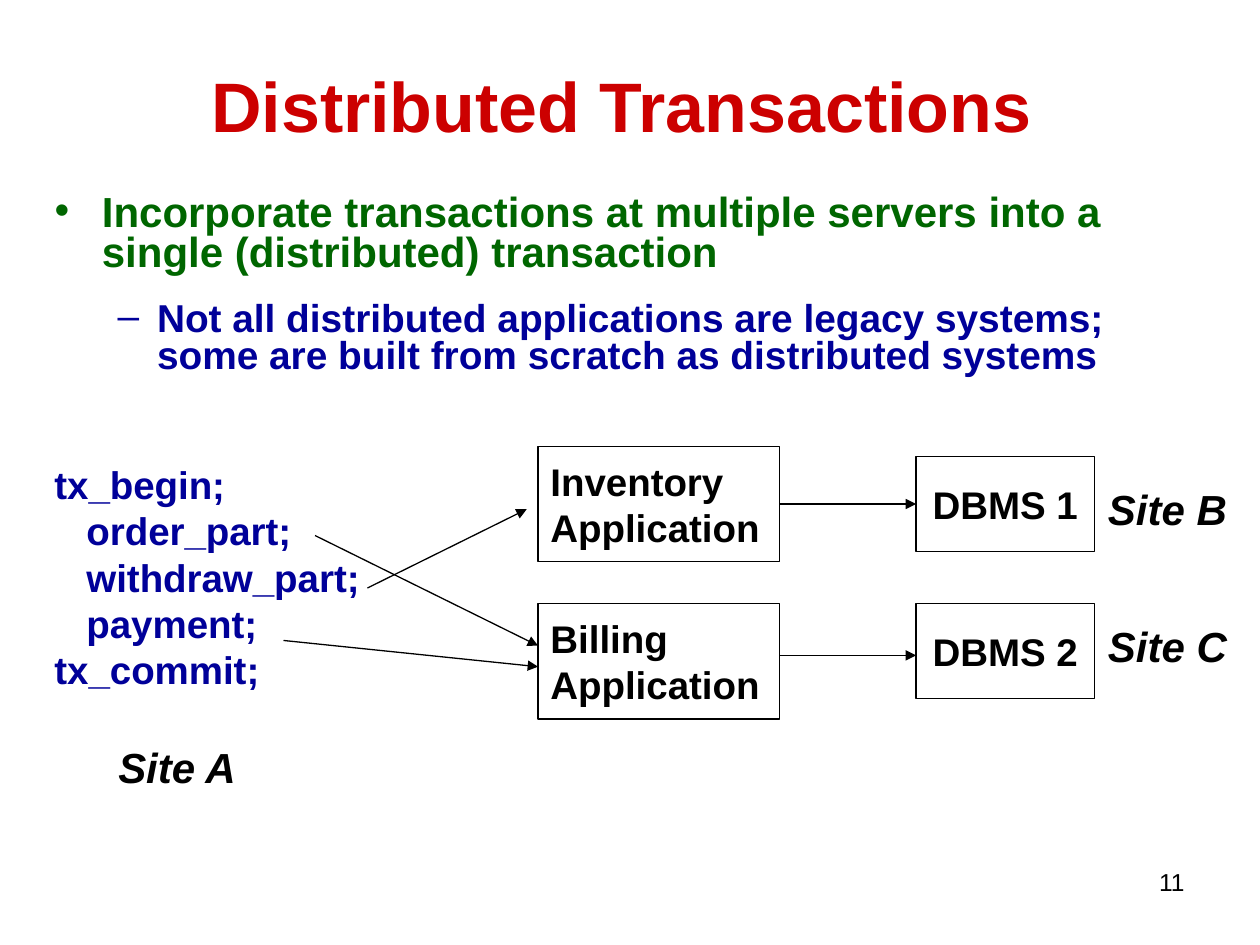
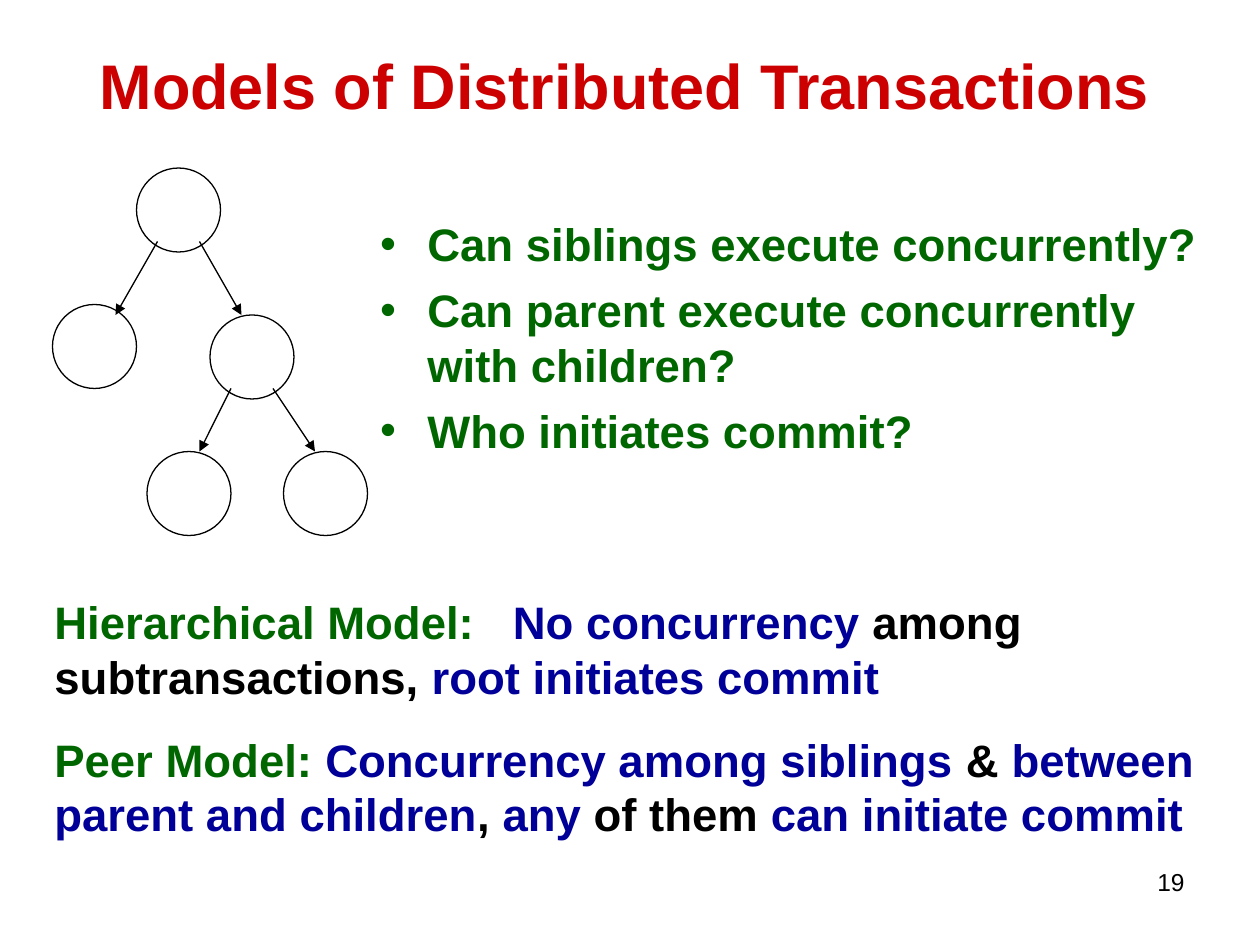
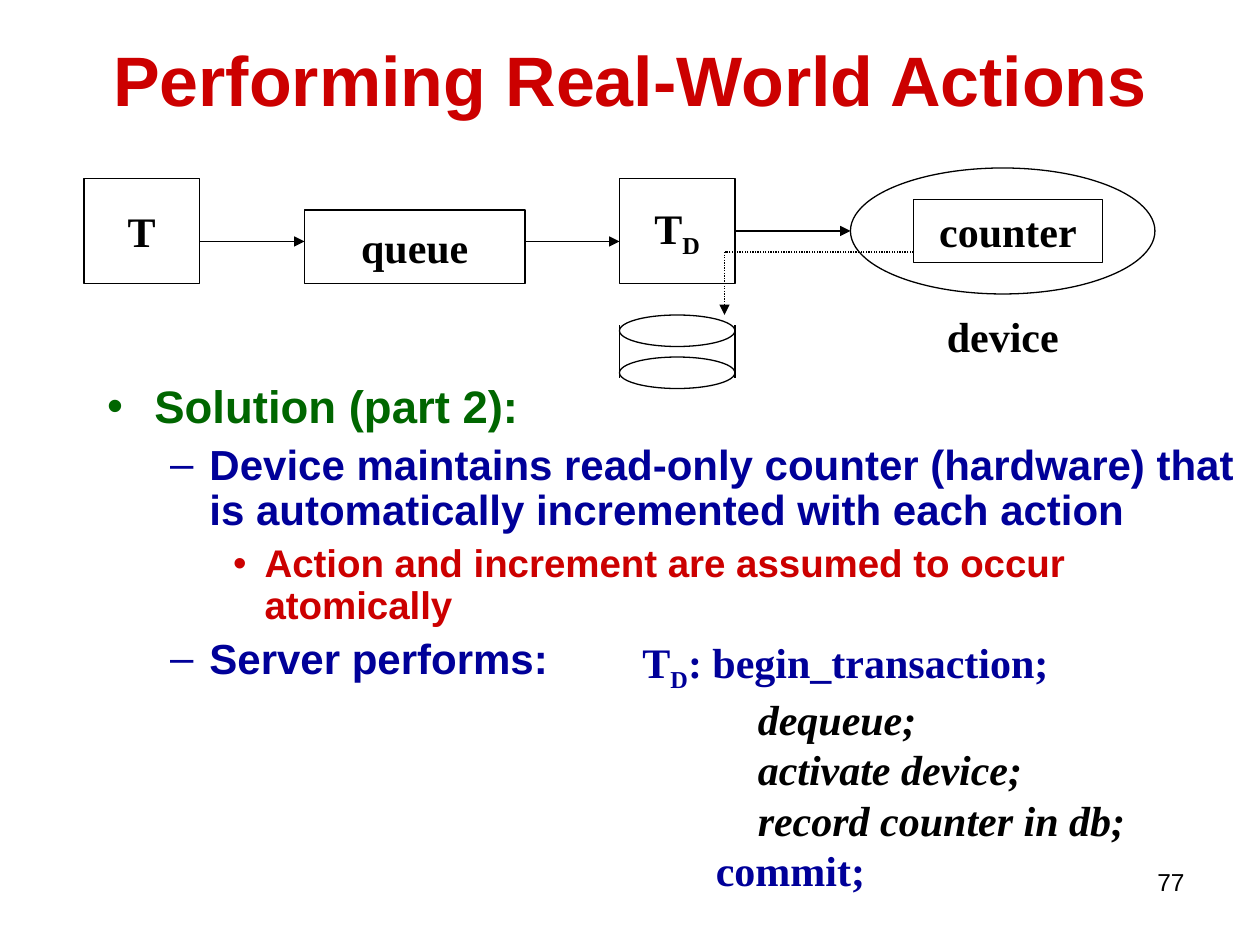
from lxml.etree import SubElement
from pptx import Presentation
from pptx.dml.color import RGBColor
from pptx.enum.dml import MSO_LINE
from pptx.enum.shapes import MSO_CONNECTOR, MSO_SHAPE
from pptx.enum.text import MSO_ANCHOR, MSO_AUTO_SIZE, PP_ALIGN
from pptx.oxml.ns import qn
from pptx.util import Pt

RED, GREEN, BLUE, BLACK, WHITE = "CC0000", "006600", "000099", "000000", "FFFFFF"
SANS, SERIF = "Arial", "Times New Roman"
LINE_WIDTH = 0.75
# Bullet levels: character, colour, left margin, hanging indent
LEVELS = [("•", GREEN, 27, 27), ("–", BLUE, 58.5, 22.5), ("•", RED, 90, 18)]


def rgb(color):
    return RGBColor.from_string(color)


# Text

def style_font(font, size, color, name=SANS, bold=True, italic=False):
    font.size, font.name = Pt(size), name
    font.bold, font.italic = bold, italic
    font.color.rgb = rgb(color)


def add_runs(paragraph, content):
    """Content is a string, or a list of (text, colour or None, is subscript)."""
    if isinstance(content, str):
        content = [(content, None, False)]
    for text, color, subscript in content:
        run = paragraph.add_run()
        run.text = text
        if color:
            run.font.color.rgb = rgb(color)
        if subscript:
            run._r.get_or_add_rPr().set("baseline", "-25000")


def place(shape, box):
    shape.left, shape.top, shape.width, shape.height = map(Pt, box)


def prepare_frame(shape, anchor=MSO_ANCHOR.TOP, wrap=True):
    frame = shape.text_frame
    frame.auto_size = MSO_AUTO_SIZE.NONE
    frame.word_wrap = wrap
    frame.vertical_anchor = anchor
    return frame


def next_paragraph(frame, index):
    return frame.add_paragraph() if index else frame.paragraphs[0]


def write_lines(frame, lines, size, color=BLACK, align=PP_ALIGN.LEFT, **style):
    """Write one paragraph for each line; a line may be a (content, style) pair."""
    for index, line in enumerate(lines):
        content, own_style = line if isinstance(line, tuple) else (line, {})
        paragraph = next_paragraph(frame, index)
        paragraph.alignment = align
        add_runs(paragraph, content)
        style_font(paragraph.font, **{"size": size, "color": color, **style, **own_style})


def add_text(slide, box, lines, size, wrap=True, **style):
    text_box = slide.shapes.add_textbox(*map(Pt, box))
    frame = prepare_frame(text_box, wrap=wrap)
    write_lines(frame, lines, size, **style)
    return frame


def add_bullet(paragraph, level):
    character, color, margin, hanging = LEVELS[level]
    paragraph.level = level
    properties = paragraph._p.get_or_add_pPr()
    properties.set("marL", str(Pt(margin)))
    properties.set("indent", str(-Pt(hanging)))
    bullet_color = SubElement(properties, qn("a:buClr"))
    SubElement(bullet_color, qn("a:srgbClr")).set("val", color)
    SubElement(properties, qn("a:buFont")).set("typeface", SANS)
    SubElement(properties, qn("a:buChar")).set("char", character)


def fill_body(slide, box, items, line_spacing=1.0):
    """Items are (level, text, size, space before)."""
    body = slide.placeholders[1]
    place(body, box)
    frame = prepare_frame(body)
    for index, (level, text, size, space) in enumerate(items):
        paragraph = next_paragraph(frame, index)
        add_bullet(paragraph, level)
        paragraph.alignment = PP_ALIGN.LEFT
        paragraph.line_spacing = line_spacing
        paragraph.space_before = Pt(space)
        add_runs(paragraph, text)
        style_font(paragraph.font, size, LEVELS[level][1])


# Shapes and lines

def add_outlined(slide, kind, box, lines=(), size=24, align=PP_ALIGN.CENTER,
                 wrap=False, **style):
    shape = slide.shapes.add_shape(kind, *map(Pt, box))
    shape.shadow.inherit = False
    shape.fill.solid()
    shape.fill.fore_color.rgb = rgb(WHITE)
    shape.line.color.rgb = rgb(BLACK)
    shape.line.width = Pt(LINE_WIDTH)
    if lines:
        frame = prepare_frame(shape, MSO_ANCHOR.MIDDLE, wrap)
        write_lines(frame, lines, size, align=align, **style)
    return shape


def add_line(slide, start, end, arrow=True, dotted=False):
    connector = slide.shapes.add_connector(
        MSO_CONNECTOR.STRAIGHT, *map(Pt, (*start, *end)))
    connector.line.color.rgb = rgb(BLACK)
    connector.line.width = Pt(LINE_WIDTH)
    if dotted:
        connector.line.dash_style = MSO_LINE.ROUND_DOT
    if arrow:
        outline = connector.line._get_or_add_ln()
        SubElement(outline, qn("a:tailEnd")).set("type", "triangle")
    SubElement(connector._element.spPr, qn("a:effectLst"))
    return connector


# Shared slide frame

def add_slide(presentation, title, title_box, number, title_size=40):
    slide = presentation.slides.add_slide(presentation.slide_layouts[1])
    place(slide.shapes.title, title_box)
    frame = prepare_frame(slide.shapes.title, MSO_ANCHOR.MIDDLE)
    write_lines(frame, [title], title_size, RED, PP_ALIGN.CENTER)
    add_text(slide, (516, 492, 168, 37), [str(number)], 14,
             align=PP_ALIGN.RIGHT, bold=False)
    return slide


# Distributed transactions

def draw_sites(slide, box):
    left, top, width, height = box

    def at(x, y):
        return left + x, top + y

    add_text(slide, (*at(0, 5), 198, 150),
             ["tx_begin;", "   order_part;", "   withdraw_part;", "   payment;",
              "tx_commit;"], 22, color=BLUE)
    applications, databases = [], []
    for index, name in enumerate(["Inventory", "Billing"]):
        applications.append(add_outlined(
            slide, MSO_SHAPE.RECTANGLE, (*at(283.5, 90 * index), 138, 66),
            [name, "Application"], 22, PP_ALIGN.LEFT, wrap=True))
        databases.append(add_outlined(
            slide, MSO_SHAPE.RECTANGLE, (*at(499.5, 6 + 84 * index), 102, 54),
            [f"DBMS {index + 1}"], 22))

    # Calls from the transaction to the applications
    for start, end in [((156, 51), (283.5, 114)), ((186, 81), (277, 36)),
                       ((138, 111), (283.5, 126))]:
        add_line(slide, at(*start), at(*end))
    inventory_link = add_line(slide, at(421.5, 33), at(499.5, 33))
    inventory_link.begin_connect(applications[0], 3)
    inventory_link.end_connect(databases[0], 1)
    add_line(slide, at(421.5, 119.5), at(499.5, 119.5))

    for name, x, y in [("A", 36.5, 165), ("B", 602, 18), ("C", 602, 96)]:
        add_text(slide, (*at(x, y), 82, 36), [f"Site {name}"], 24,
                 wrap=False, italic=True)


def build_transactions(presentation):
    slide = add_slide(presentation, "Distributed Transactions", (49, 24, 612, 72), 11)
    fill_body(slide, (24, 108, 672, 111), [
        (0, "Incorporate transactions at multiple servers into a single "
            "(distributed) transaction", 24, 0),
        (1, "Not all distributed applications are legacy systems; some are built "
            "from scratch as distributed systems", 22.2, 15),
    ], line_spacing=0.8)
    draw_sites(slide, (24, 255, 684, 201))


# Models of distributed transactions

def draw_tree(slide, box):
    left, top, width, height = box
    diameter = 48
    nodes = [(left + x, top + y) for x, y in
             [(48, 0), (0, 78), (90, 84), (54, 162), (132, 162)]]
    for node in nodes:
        add_outlined(slide, MSO_SHAPE.OVAL, (*node, diameter, diameter))
    # Parent, child, start offset in the parent, end offset in the child
    for parent, child, start_x, end_x, end_y in [
            (0, 1, 12, 36, 6), (0, 2, 36, 18, 0), (2, 3, 12, 30, 0), (2, 4, 36, 18, 0)]:
        (parent_x, parent_y), (child_x, child_y) = nodes[parent], nodes[child]
        add_line(slide, (parent_x + start_x, parent_y + 42),
                 (child_x + end_x, child_y + end_y))


def write_models(slide, box):
    frame = add_text(slide, box, [
        [("Hierarchical Model:\t", GREEN, False), ("No concurrency", BLUE, False),
         (" among subtransactions, ", None, False),
         ("root initiates commit", BLUE, False)],
        [("Peer Model: ", GREEN, False), ("Concurrency among siblings", BLUE, False),
         (" & ", None, False), ("between parent and children", BLUE, False),
         (", ", None, False), ("any ", BLUE, False), ("of them ", None, False),
         ("can initiate commit", BLUE, False)],
    ], 26)
    hierarchical, peer = frame.paragraphs
    properties = hierarchical._p.get_or_add_pPr()
    tabs = properties.makeelement(qn("a:tabLst"), {})
    SubElement(tabs, qn("a:tab"), {"pos": str(Pt(262)), "algn": "l"})
    properties.insert(0, tabs)
    peer.space_before = Pt(16.2)


def build_models(presentation):
    slide = add_slide(presentation, "Models of Distributed Transactions",
                      (24, 0, 666, 96), 19, title_size=36)
    fill_body(slide, (210, 120, 486, 156), [
        (0, "Can siblings execute concurrently?", 26, 0),
        (0, "Can parent execute concurrently with children?", 26, 6.5),
        (0, "Who initiates commit?", 26, 6.5),
    ])
    draw_tree(slide, (30, 96, 180, 210))
    write_models(slide, (24, 336, 678, 148))


# Performing real-world actions

def draw_pipeline(slide, box):
    left, top, width, height = box

    def at(x, y):
        return left + x, top + y

    def add_step(x, y, step_width, step_height, content):
        return add_outlined(slide, MSO_SHAPE.RECTANGLE,
                            (*at(x, y), step_width, step_height), [content], name=SERIF)

    add_step(0, 6, 66, 60, "T")
    add_step(126, 24, 126, 42, "queue")
    dequeuer = add_step(306, 6, 66, 60, [("T", None, False), ("D", None, True)])
    add_outlined(slide, MSO_SHAPE.OVAL, (*at(438, 0), 174, 72))
    add_step(474, 18, 108, 36, "counter")
    add_text(slide, (*at(486, 78), 78.5, 36), ["device"], 24, wrap=False, name=SERIF)

    # Database drum
    for y in (84, 108):
        add_outlined(slide, MSO_SHAPE.OVAL, (*at(306, y), 66, 18))
    for x in (306, 372):
        add_line(slide, at(x, 90), at(x, 120), arrow=False)

    # Flow to the device, and the counter value back to the database
    add_line(slide, at(66, 42), at(126, 42))
    add_line(slide, at(252, 42), at(306, 42))
    add_line(slide, at(372, 36), at(438, 36)).begin_connect(dequeuer, 3)
    add_line(slide, at(474, 48), at(366, 48), arrow=False, dotted=True)
    add_line(slide, at(366, 48), at(366, 84), dotted=True)


def write_server_code(slide, box):
    step = {"color": BLACK, "italic": True}
    add_text(slide, box, [
        [("T", None, False), ("D", None, True), (": begin_transaction;", None, False)],
        ("           dequeue;", step),
        ("           activate device;", step),
        ("           record counter in db;", step),
        "       commit;",
    ], 24, wrap=False, color=BLUE, name=SERIF)


def build_actions(presentation):
    slide = add_slide(presentation, "Performing Real-World Actions",
                      (54, 0, 612, 90), 77)
    fill_body(slide, (54, 216, 666, 192), [
        (0, "Solution (part 2):", 26, 0),
        (1, "Device maintains read-only counter (hardware) that is automatically "
            "incremented with each action", 24, 6),
        (2, "Action and increment are assumed to occur atomically", 22, 5.5),
        (1, "Server performs:", 24, 6),
    ], line_spacing=0.9)
    draw_pipeline(slide, (48, 96, 612, 126))
    write_server_code(slide, (360, 360, 290, 156))


def main():
    presentation = Presentation()
    presentation.slide_width, presentation.slide_height = Pt(720), Pt(540)
    build_transactions(presentation)
    build_models(presentation)
    build_actions(presentation)
    presentation.save("out.pptx")


if __name__ == "__main__":
    main()
